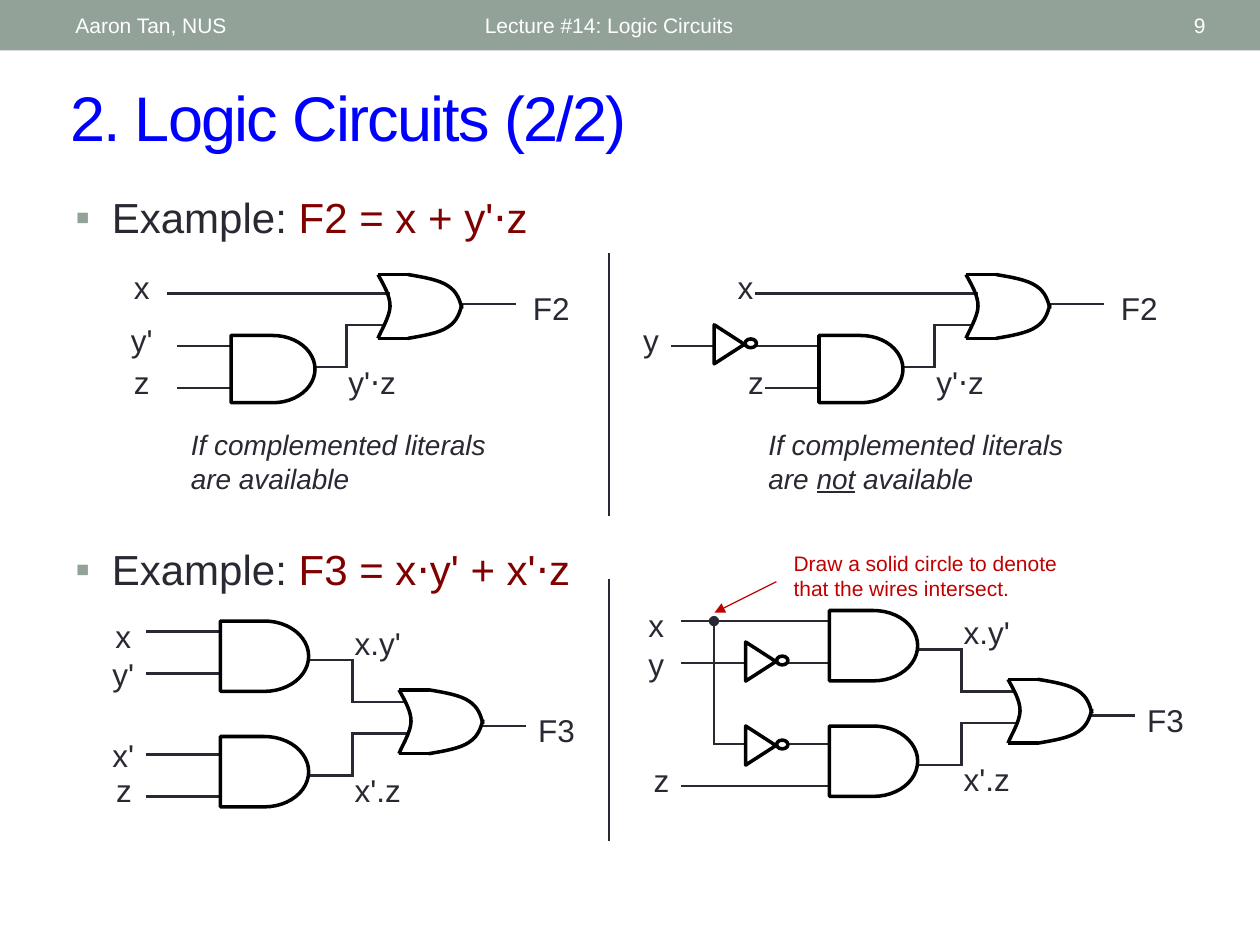
from lxml.etree import SubElement
from pptx import Presentation
from pptx.dml.color import RGBColor
from pptx.enum.shapes import MSO_CONNECTOR, MSO_SHAPE
from pptx.enum.text import MSO_ANCHOR, MSO_AUTO_SIZE, PP_ALIGN
from pptx.oxml.ns import qn
from pptx.util import Inches, Pt

COLORS = {"band": "93A299", "white": "FFFFFF", "title": "0000FF", "ink": "292934",
          "formula": "800000", "gate": "000000", "note": "C00000"}

deck = Presentation()
deck.slide_width, deck.slide_height = Inches(10), Inches(7.5)
page = deck.slides.add_slide(deck.slide_layouts[6])
cell = deck.slide_width / 120


def write(home, text, left, top, width, height=4.8, size=18, color="ink", accent=None,
          align=PP_ALIGN.LEFT, anchor=MSO_ANCHOR.TOP, italic=False, underline=False,
          bullet=False, spacing=None, grow=True):
    box = home.shapes.add_textbox(*(round(n * cell) for n in (left, top, width, height)))
    frame = box.text_frame
    frame.word_wrap = True
    frame.auto_size = MSO_AUTO_SIZE.SHAPE_TO_FIT_TEXT if grow else MSO_AUTO_SIZE.NONE
    frame.vertical_anchor = anchor
    para = frame.paragraphs[0]
    para.alignment = align
    if bullet:
        para.space_before = Pt(3)
        properties = para._p.get_or_add_pPr()
        properties.set("marL", str(Inches(0.29)))
        properties.set("indent", str(-Inches(0.29)))
        tint = SubElement(properties, qn("a:buClr"))
        SubElement(tint, qn("a:srgbClr"), val=COLORS["band"])
        SubElement(properties, qn("a:buFont"), typeface="Arial")
        SubElement(properties, qn("a:buChar"), char="▪")
    for index, part in enumerate(text.split("|")):
        marked = index % 2 == 1
        span = para.add_run()
        span.text = part
        span.font.name, span.font.size = "Arial", Pt(size)
        span.font.color.rgb = RGBColor.from_string(COLORS[accent if marked and accent else color])
        if italic:
            span.font.italic = True
        if underline and marked:
            span.font.underline = True
        if spacing:
            span._r.get_or_add_rPr().set("spc", str(spacing))


def wire(home, x1, y1, x2, y2, color="ink", weight=1.5, cap="sq", head=None, tail=None):
    line = home.shapes.add_connector(MSO_CONNECTOR.STRAIGHT,
                                     *(round(n * cell) for n in (x1, y1, x2, y2)))
    line.line.color.rgb = RGBColor.from_string(COLORS[color])
    line.line.width = Pt(weight)
    stroke = line.line._get_or_add_ln()
    stroke.set("cap", cap)
    for tag, kind in (("a:headEnd", head), ("a:tailEnd", tail)):
        if kind:
            SubElement(stroke, qn(tag), type=kind)
    SubElement(line._element.spPr, qn("a:effectLst"))


band = page.shapes.add_shape(MSO_SHAPE.RECTANGLE, 0, 0, deck.slide_width, round(4.8 * cell))
band.shadow.inherit = False
band.fill.solid()
band.fill.fore_color.rgb = RGBColor.from_string(COLORS["band"])
band.line.fill.background()

write(page, "2. Logic Circuits (2/2)", 5.5, 6.85, 108.8, 8.4, size=36, color="title",
      anchor=MSO_ANCHOR.MIDDLE, spacing=-100, grow=False)
for text, left, width, align in (("Lecture #14: Logic Circuits", 45, 54, PP_ALIGN.LEFT),
                                 ("9", 104.6, 11.4, PP_ALIGN.RIGHT),
                                 ("Aaron Tan, NUS", 6, 38, PP_ALIGN.LEFT)):
    write(page, text, left, 0.24, width, 4.3, size=12, color="white", align=align,
          anchor=MSO_ANCHOR.MIDDLE, grow=False)
for text, top, height in (("Example: |F2 = x + y'⋅z", 17.64, 8.4),
                          ("Example: |F3 = x⋅y' + x'⋅z", 51.2, 7)):
    write(page, text, 6, top, 108, height, size=24, accent="formula", bullet=True, grow=False)
for top in (24.1, 55.1):
    wire(page, 58, top, 58, top + 25, weight=0.75, cap="flat")

F2 = {"ands": [(22, 31.95, 8, 6.4)], "or": (36, 26.15),
      "wires": [(30, 34.95, 33, 34.95), (33, 34.95, 33, 30.95), (33, 30.95, 36.6, 30.95),
                (16, 27.95, 37, 27.95), (44, 28.95, 49, 28.95)],
      "names": [("F2", 49, 26.95, 7)], "products": [("y'⋅z", 32, 34)]}
F3 = {"ands": [(21, 59.15, 8.4, 6.7), (21, 70.15, 8.4, 6.7)], "or": (38, 65.7),
      "wires": [(29.6, 62.85, 33.6, 62.85), (33.6, 62.85, 33.6, 66.85),
                (33.6, 66.85, 38.6, 66.85), (29.6, 73.85, 33.6, 73.85),
                (33.6, 73.85, 33.6, 69.85), (33.6, 69.85, 38.6, 69.85), (46, 69.15, 50, 69.15)],
      "names": [("F3", 50, 67.15, 6)], "products": [("x.y'", 32.6, 58.8), ("x'.z", 32.6, 72.8)]}

circuits = [
    (F2, 0, 0, [(17, 32.95), (17, 36.95)],
     [("x", 11.5, 24.95, 4), ("y'", 11, 30, 5), ("z", 11.5, 34, 4)], [],
     [("If complemented literals are available", 17)]),
    (F2, 56, 0, [(64, 32.95), (73, 36.95)],
     [("x", 69, 24.95, 4), ("y", 60, 30, 4), ("z", 70, 34, 4)], [(67.6, 31.35)],
     [("If complemented literals are |not| available", 72)]),
    (F3, 0, 0, [(14, 60.15), (14, 64.15), (14, 71.85), (14, 75.85)],
     [("x", 9.25, 58.15, 5), ("y'", 9.25, 61.8, 5), ("x'", 9.25, 69.55, 5),
      ("z", 9.8, 72.8, 4)], [], []),
    (F3, 58, -1, [(65, 59.15), (65, 63.15), (68, 70.85), (65, 74.85)],
     [("x", 60, 57.1, 5), ("y", 60, 60.8, 5), ("z", 61, 71.85, 4)],
     [(70.6, 61.56), (70.6, 69.56)], []),
]

or_height = 6.08
back = [(0, 0), (0.55, 1), (1.15, 2), (1.15, 3), (1.15, 4), (0.2, 5.5), (0, or_height)]
upper = [(2.85, 0), (4.3, 0.25), (5.85, 0.5), (6.7, 1.1), (7.55, 1.65), (7.8, 2.45), (8, 3.25)]
lower = [(x, or_height - y) for x, y in upper]

for plan, dx, dy, inputs, labels, inverters, captions in circuits:
    group = page.shapes.add_group_shape()
    for x1, y1, x2, y2 in plan["wires"]:
        wire(group, x1 + dx, y1 + dy, x2 + dx, y2 + dy)
    for x, y in inputs:
        wire(group, x, y, plan["ands"][0][0] + dx, y)

    outlines = []
    for left, top, width, height in plan["ands"]:
        outlines.append(group.shapes.add_shape(
            MSO_SHAPE.FLOWCHART_DELAY,
            *(round(n * cell) for n in (left + dx, top + dy, width, height))))
    or_left, or_top = plan["or"][0] + dx, plan["or"][1] + dy
    for curve in (back, upper, lower):
        points = [(round((or_left + x) * cell), round((or_top + y) * cell)) for x, y in curve]
        builder = group.shapes.build_freeform(*points[0], scale=1.0)
        builder.add_line_segments(points[1:], close=False)
        outline = builder.convert_to_shape()
        segments = list(outline._element.iter(qn("a:lnTo")))
        track = segments[0].getparent()
        for start in range(0, len(segments), 3):
            bend = SubElement(track, qn("a:cubicBezTo"))
            for segment in segments[start:start + 3]:
                bend.append(segment[0])
                track.remove(segment)
        outlines.append(outline)
    for y in (or_top, or_top + or_height):
        wire(group, or_left, y, or_left + upper[0][0], y, color="gate", weight=2, cap="flat")

    solids = []
    for left, top in inverters:
        triangle = group.shapes.add_shape(
            MSO_SHAPE.FLOWCHART_MERGE, *(round(n * cell) for n in (left, top, 3.72, 2.88)))
        triangle.rotation = 270
        bubble = group.shapes.add_shape(
            MSO_SHAPE.OVAL, *(round(n * cell) for n in (left + 3.36, top + 0.93, 1.08, 0.84)))
        solids += [triangle, bubble]
    for shape in outlines + solids:
        shape.shadow.inherit = False
        shape.line.color.rgb = RGBColor.from_string(COLORS["gate"])
        shape.line.width = Pt(2)
        if shape in solids:
            shape.fill.solid()
            shape.fill.fore_color.rgb = RGBColor.from_string(COLORS["white"])
        else:
            shape.fill.background()

    for text, left, top, width in labels:
        write(group, text, left, top, width, align=PP_ALIGN.CENTER)
    for text, left, top, width in plan["names"]:
        write(group, text, left + dx, top + dy, width, align=PP_ALIGN.CENTER)
    for text, left, top in plan["products"]:
        write(group, text, left + dx, top + dy, 7.4)
    for text, left in captions:
        write(group, text, left, 40.13, 33, 7.7, size=16, italic=True, underline=True)

wire(group, 68, 59.15, 68, 70.85, weight=0.75, cap="flat", head="oval")
remark = page.shapes.add_group_shape()
wire(remark, 73.95, 55.4, 68.05, 58.35, color="note", weight=0.75, cap="flat", tail="triangle")
write(remark, "Draw a solid circle to denote that the wires intersect.", 74.4, 51.8, 27.8, 6,
      size=12, color="note")

deck.save("out.pptx")
